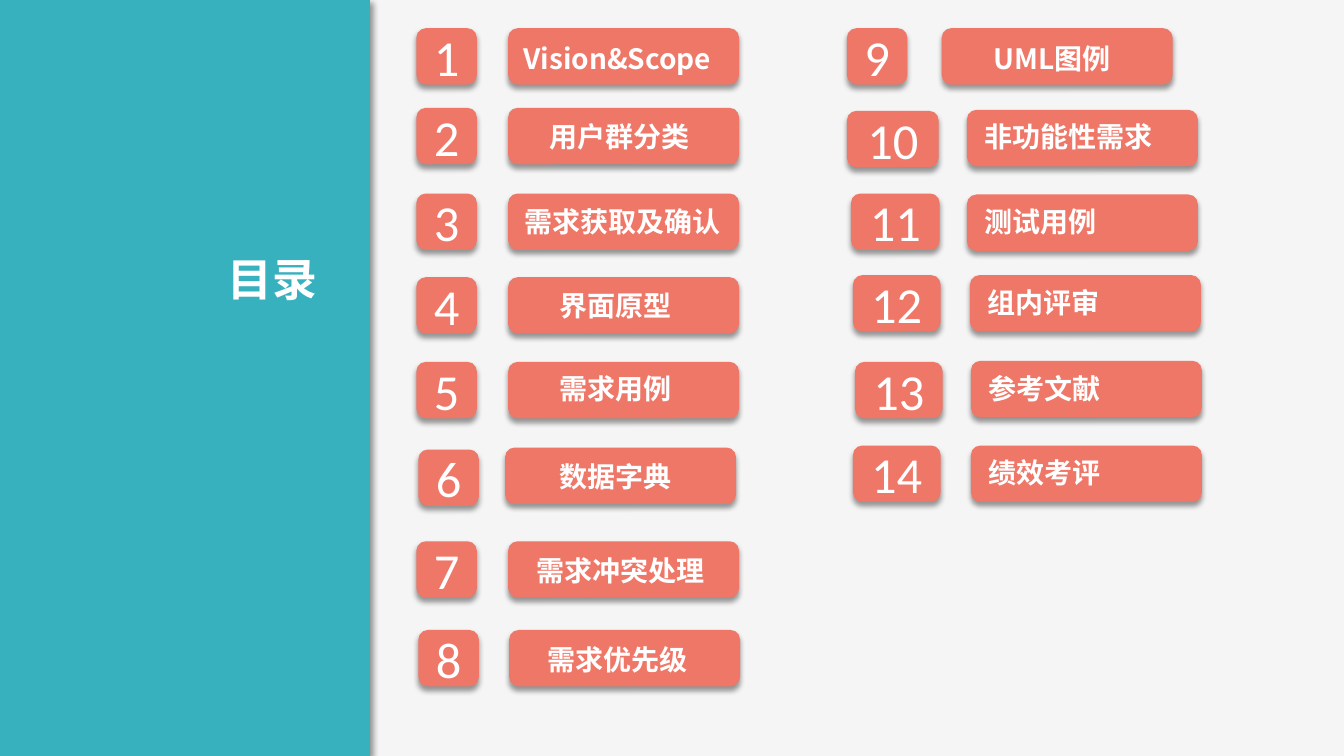
import pptx
import pptx.util
import pptx.dml.color
import pptx.enum.shapes
import pptx.enum.text
import pptx.oxml
import pptx.oxml.ns
import lxml.etree

Inches = pptx.util.Inches
ALIGN = pptx.enum.text.PP_ALIGN
SHAPE = pptx.enum.shapes.MSO_SHAPE
COLORS = {"background": "F5F5F5", "panel": "38B1BF", "card": "EF7768", "text": "FFFFFF", "shadow": "000000"}
HEADING_FONT = "Noto Sans CJK SC"
NUMBER_FONT = "Calibri"
CARD_WIDTH, CARD_HEIGHT = 2.29, 0.56

# number left, number top, number width, card left, card top, text left, text top, text
ENTRIES = [
    (4.13, 0.28, 0.6, 5.04, 0.28, 5.06, 0.34, "Vision&Scope"),
    (4.13, 1.07, 0.6, 5.04, 1.07, 5.32, 1.12, "用户群分类"),
    (4.13, 1.92, 0.6, 5.04, 1.92, 5.07, 1.96, "需求获取及确认"),
    (4.13, 2.75, 0.6, 5.04, 2.75, 5.42, 2.79, "界面原型"),
    (4.13, 3.59, 0.6, 5.04, 3.59, 5.42, 3.62, "需求用例"),
    (4.15, 4.46, 0.6, 5.01, 4.44, 5.42, 4.49, "数据字典"),
    (4.13, 5.37, 0.6, 5.04, 5.37, 5.19, 5.42, "需求冲突处理"),
    (4.15, 6.25, 0.6, 5.05, 6.25, 5.3, 6.3, "需求优先级"),
    (8.4, 0.28, 0.6, 9.34, 0.28, 9.72, 0.34, "UML图例"),
    (8.4, 1.1, 0.91, 9.59, 1.09, 9.63, 1.12, "非功能性需求"),
    (8.44, 1.92, 0.88, 9.59, 1.93, 9.63, 1.96, "测试用例"),
    (8.46, 2.73, 0.87, 9.62, 2.73, 9.66, 2.76, "组内评审"),
    (8.48, 3.59, 0.87, 9.63, 3.58, 9.67, 3.62, "参考文献"),
    (8.46, 4.42, 0.87, 9.63, 4.42, 9.67, 4.45, "绩效考评"),
]


def rgb(name):
    """Return the named colour."""
    return pptx.dml.color.RGBColor.from_string(COLORS[name])


def add_shadow(shape, angle):
    """Give a shape a soft outer shadow falling at an angle in degrees."""
    shape.shadow.inherit = False
    effects = shape._element.spPr.find(pptx.oxml.ns.qn("a:effectLst"))
    effects.append(pptx.oxml.parse_xml(
        f'<a:outerShdw {pptx.oxml.ns.nsdecls("a")} blurRad="{pptx.util.Pt(4)}" '
        f'dist="{pptx.util.Pt(3)}" dir="{angle * 60000}" algn="ctr" rotWithShape="0">'
        f'<a:srgbClr val="{COLORS["shadow"]}"><a:alpha val="40000"/></a:srgbClr></a:outerShdw>'))


def add_box(shapes, kind, left, top, width, height, color, angle):
    """Add a filled, borderless shape with a shadow."""
    shape = shapes.add_shape(kind, Inches(left), Inches(top), Inches(width), Inches(height))
    shape.fill.solid()
    shape.fill.fore_color.rgb = rgb(color)
    shape.line.fill.background()
    add_shadow(shape, angle)
    return shape


def write_text(shape, text, size, font_name, bold, alignment):
    """Write one line of white text into a shape."""
    frame = shape.text_frame
    frame.word_wrap = True
    frame.margin_left = frame.margin_right = Inches(0.13)
    frame.margin_top = frame.margin_bottom = Inches(0.07)
    frame.text = text
    paragraph = frame.paragraphs[0]
    paragraph.alignment = alignment
    font = paragraph.font
    font.size = pptx.util.Pt(size)
    font.bold = bold
    font.color.rgb = rgb("text")
    font.name = font_name
    properties = paragraph._p.pPr.find(pptx.oxml.ns.qn("a:defRPr"))
    lxml.etree.SubElement(properties, pptx.oxml.ns.qn("a:ea"), typeface=font_name)


def add_heading(shapes, left, top, width, height, text, size, alignment):
    """Add a bold text box."""
    box = shapes.add_textbox(Inches(left), Inches(top), Inches(width), Inches(height))
    write_text(box, text, size, HEADING_FONT, True, alignment)


def add_number(slide, left, top, width, number):
    """Add a rounded tile that holds an entry number."""
    tile = add_box(slide.shapes, SHAPE.ROUNDED_RECTANGLE, left, top, width, CARD_HEIGHT, "card", 90)
    write_text(tile, str(number), 36, NUMBER_FONT, False, ALIGN.CENTER)
    tile.text_frame.vertical_anchor = pptx.enum.text.MSO_ANCHOR.MIDDLE


def add_card(slide, left, top, text_left, text_top, text):
    """Add a rounded card grouped with its title."""
    group = slide.shapes.add_group_shape()
    add_box(group.shapes, SHAPE.ROUNDED_RECTANGLE, left, top, CARD_WIDTH, CARD_HEIGHT, "card", 90)
    add_heading(group.shapes, text_left, text_top, 2.48, 0.47, text, 20, ALIGN.LEFT)


def main():
    """Build the contents slide and save it."""
    presentation = pptx.Presentation()
    presentation.slide_width = Inches(13.33)
    presentation.slide_height = Inches(7.5)
    slide = presentation.slides.add_slide(presentation.slide_layouts[6])
    slide.background.fill.solid()
    slide.background.fill.fore_color.rgb = rgb("background")
    add_box(slide.shapes, SHAPE.RECTANGLE, -0.12, 0, 3.79, 7.5, "panel", 45)
    add_heading(slide.shapes, 0.21, 2.43, 3.07, 0.67, "目录", 32, ALIGN.RIGHT)
    for number, entry in enumerate(ENTRIES, start=1):
        add_number(slide, *entry[:3], number)
        add_card(slide, *entry[3:])
    presentation.save("out.pptx")


if __name__ == "__main__":
    main()
